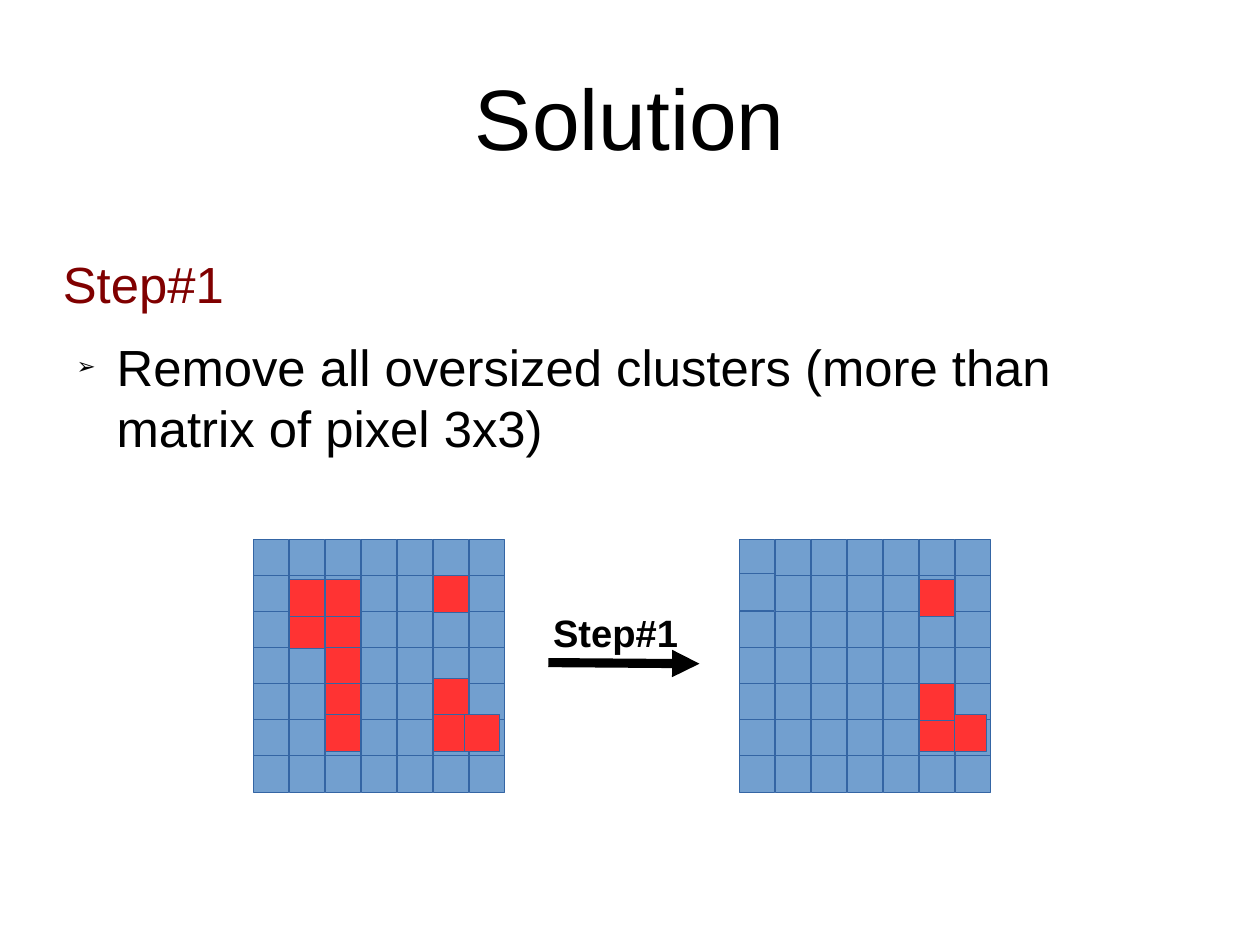
import pptx
import pptx.dml.color
import pptx.enum.shapes
import pptx.enum.text
import pptx.oxml
import pptx.oxml.ns
import pptx.util

Pt = pptx.util.Pt
ALIGN = pptx.enum.text.PP_ALIGN
ANCHOR = pptx.enum.text.MSO_ANCHOR
NS = pptx.oxml.ns.nsdecls("a")

BLUE, RED, EDGE = "729FCF", "FF3333", "3465A4"
COUNT, PITCH = 7, 22.68
CELL_WIDTH, CELL_HEIGHT = 21.95, 23.5
GRID_TOP = 339.6


def color(value):
    """Return the colour of a hex string."""
    return pptx.dml.color.RGBColor.from_string(value)


def assign(target, values):
    """Set the attributes of an object from a dict."""
    for name, value in values.items():
        setattr(target, name, value)


def add_xml(parent, xml):
    """Append a DrawingML element to a parent."""
    parent.append(pptx.oxml.parse_xml(xml))


def add_text(s, box, frame):
    """Add an empty text box and return its text frame."""
    tf = s.shapes.add_textbox(*map(Pt, box)).text_frame
    assign(tf, frame)
    return tf


def add_run(p, text, hue, font):
    """Write one Arial run in a paragraph."""
    r = p.add_run()
    r.text = text
    assign(r.font, {"name": "Arial", **font})
    r.font.color.rgb = color(hue)


def add_bullet(p, left, indent):
    """Give a paragraph an arrowhead bullet with a hanging indent."""
    pPr = p._p.get_or_add_pPr()
    pPr.set("marL", str(Pt(left)))
    pPr.set("indent", str(Pt(indent)))
    add_xml(pPr, f'<a:buClr {NS}><a:srgbClr val="000000"/></a:buClr>')
    add_xml(pPr, f'<a:buSzPct {NS} val="45000"/>')
    add_xml(pPr, f'<a:buFont {NS} typeface="Arial"/>')
    add_xml(pPr, f'<a:buChar {NS} char="➢"/>')


def add_pixel(s, grid_left, fill, row, col, dx=0, dy=0):
    """Add one pixel of a matrix, shifted by dx and dy."""
    left, top = grid_left + col * PITCH + dx, GRID_TOP + row * PITCH + dy
    sp = s.shapes.add_shape(
        pptx.enum.shapes.MSO_SHAPE.FLOWCHART_PROCESS,
        Pt(left), Pt(top), Pt(CELL_WIDTH), Pt(CELL_HEIGHT))
    sp.shadow.inherit = False
    sp.fill.solid()
    sp.fill.fore_color.rgb = color(fill)
    sp.line.color.rgb = color(EDGE)
    sp.line.width = Pt(0)


def add_matrix(s, left, gaps, special):
    """Add a blue pixel matrix with gaps, then its special pixels."""
    for row in range(COUNT):
        for col in range(COUNT):
            if (row, col) not in gaps:
                add_pixel(s, left, BLUE, row, col)
    for pixel in special:
        add_pixel(s, left, *pixel)


def add_arrow(s, start, end, width):
    """Add a black line with a triangular head at its end."""
    line = s.shapes.add_connector(
        pptx.enum.shapes.MSO_CONNECTOR.STRAIGHT, *map(Pt, start + end))
    line.line.color.rgb = color("000000")
    line.line.width = Pt(width)
    add_xml(line.line._get_or_add_ln(), f'<a:tailEnd {NS} type="triangle"/>')
    add_xml(line._element.spPr, f"<a:effectLst {NS}/>")


def main():
    """Build the slide and save it."""
    prs = pptx.Presentation()
    assign(prs, {"slide_width": Pt(793.7), "slide_height": Pt(595.28)})
    s = prs.slides.add_slide(prs.slide_layouts[6])
    flush = dict.fromkeys(
        ("margin_left", "margin_top", "margin_right", "margin_bottom"), 0)
    flush["word_wrap"] = True

    tf = add_text(s, (39.6, 23.4, 714.24, 99.36),
                  {**flush, "vertical_anchor": ANCHOR.MIDDLE})
    p = tf.paragraphs[0]
    p.alignment = ALIGN.CENTER
    add_run(p, "Solution", "000000", {"size": Pt(54)})

    tf = add_text(s, (39.6, 158.9, 714.24, 344.88), flush)
    step, rule = tf.paragraphs[0], tf.add_paragraph()
    for p, text, hue in (
        (step, "Step#1", "800000"),
        (rule, "Remove all oversized clusters (more than matrix of pixel 3x3)",
         "000000"),
    ):
        p.space_after = Pt(14.2)
        add_run(p, text, hue, {"size": Pt(32)})
    add_bullet(rule, 33.84, -25.2)

    add_matrix(
        s, 159.7, {(1, 5), (2, 1), (2, 2), (3, 2), (4, 2)},
        [(RED, 2, 2, 0, 2.9), (RED, 3, 2), (RED, 4, 2), (RED, 2, 1),
         (RED, 1, 2, 0, 2.6), (RED, 1, 1, 0, 2.6), (RED, 1, 5),
         (RED, 4, 5, 0, -2.8), (RED, 5, 5, 0, -3), (RED, 5, 6, -2.9, -3),
         (RED, 5, 2, 0, -3)])
    add_matrix(
        s, 465.8, {(1, 0), (4, 5)},
        [(BLUE, 1, 0, 0, -1), (RED, 1, 5, 0, 2.6), (RED, 5, 6, -2.5, -3),
         (RED, 5, 5, 0, -3), (RED, 4, 5)])

    add_arrow(s, (345.4, 417.4), (440.64, 418.1), 5.75)
    tf = add_text(s, (341.28, 380.16, 92.88, 33.84), {"word_wrap": False})
    add_run(tf.paragraphs[0], "Step#1", "000000",
            {"size": Pt(24), "bold": True})

    prs.save("out.pptx")


if __name__ == "__main__":
    main()
